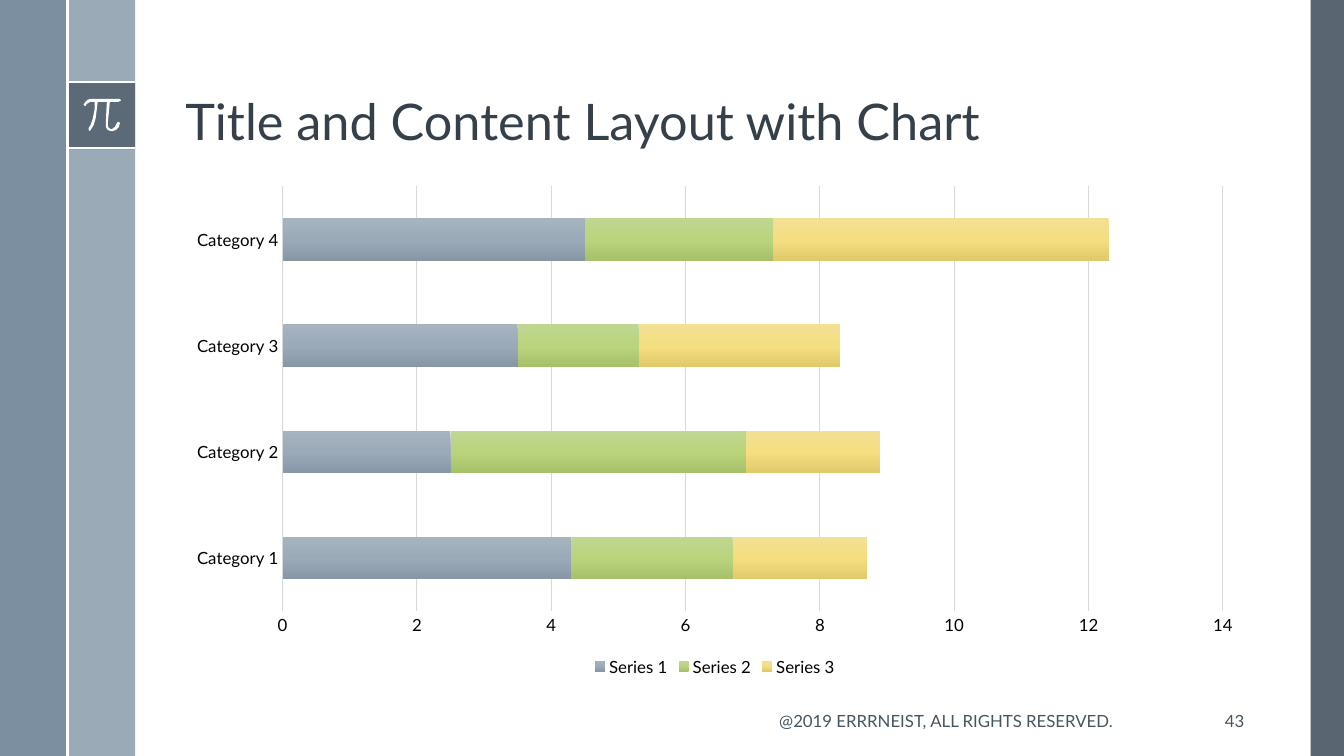
from dataclasses import dataclass

from lxml import etree
from pptx import Presentation
from pptx import util as u
from pptx.chart.data import CategoryChartData
from pptx.dml.color import RGBColor
from pptx.enum import chart as ch, shapes, text
from pptx.oxml import parse_xml
from pptx.oxml.ns import nsdecls, qn


@dataclass
class Theme:
    font: str = "Lato"
    title: str = "35404A"
    body: str = "465562"
    label: str = "000000"
    grid: str = "D9D9D9"
    white: str = "FFFFFF"
    dark: str = "475562"
    steel: str = "6A8093"
    mist: str = "9BAAB7"
    title_size: int = 36
    small_size: int = 12
    # Top, middle and bottom colour of each series
    gradients: tuple = (("A6B4BF", "9AAAB8", "8797A6"),
                        ("C0D691", "BAD47E", "A7C16B"),
                        ("F2E095", "F4DE80", "E0CA6B"))


theme = Theme()
rgb = RGBColor.from_string


def style_font(font, size, color):
    font.name = theme.font
    font.size = u.Pt(size)
    font.color.rgb = rgb(color)


def add_text(box, words, size, color, align, anchor):
    tf = s.shapes.add_textbox(*map(u.Inches, box)).text_frame
    tf.word_wrap = True
    tf.vertical_anchor = anchor
    tf.text = words
    p = tf.paragraphs[0]
    p.alignment = align
    style_font(p.runs[0].font, size, color)
    return p


prs = Presentation()
prs.slide_width, prs.slide_height = u.Inches(13.33), u.Inches(7.5)
s = prs.slides.add_slide(prs.slide_layouts[6])

# Side bands and the symbol tile: left, top, width, height, colour, opacity
bands = [(13, 0, 0.33, 7.5, theme.dark, 90),
         (0.67, 0, 0.67, 7.5, theme.mist, 100),
         (0, 0, 0.67, 7.5, theme.steel, 88),
         (0.67, 0.81, 0.67, 0.67, theme.dark, 75)]
for *box, color, opacity in bands:
    sp = s.shapes.add_shape(shapes.MSO_SHAPE.RECTANGLE, *map(u.Inches, box))
    sp.shadow.inherit = False
    sp.fill.solid()
    sp.fill.fore_color.rgb = rgb(color)
    sp.line.fill.background()
    if opacity < 100:
        clr = sp.fill._xPr.find(".//" + qn("a:srgbClr"))
        etree.SubElement(clr, qn("a:alpha"), val=str(opacity * 1000))

# White rules around the tile and between the bands
for ends in [(0.67, 0.81, 1.34, 0.81), (0.67, 1.47, 1.34, 1.47), (0.67, 0, 0.67, 7.5)]:
    rule = s.shapes.add_connector(shapes.MSO_CONNECTOR.STRAIGHT, *map(u.Inches, ends))
    rule.line.color.rgb = rgb(theme.white)
    rule.line.width = u.Pt(1.5)
    etree.SubElement(rule._element.spPr, qn("a:effectLst"))

# Pi symbol, outlined in hundredths of an inch
pi = [(118, 98), (90, 98), (87, 99), (84, 102), (83, 104), (84, 105), (85, 105),
      (86, 103), (88, 101.5), (90, 101), (94, 101), (93.5, 108), (92, 118), (90, 124),
      (88, 127), (87.5, 128), (88, 129), (89, 129.5), (90, 129), (93, 124), (95, 117),
      (96, 109), (97, 101), (106, 101), (105, 122), (105, 126), (107, 129), (110, 130),
      (112, 130), (115, 129), (118, 126), (119, 122), (118, 121), (117, 121),
      (116, 122), (114, 126), (111, 128), (109.5, 128), (108, 127), (107, 125),
      (107, 122), (109, 101), (118, 101), (119, 100.5), (119.5, 99.5), (119, 98.5)]
builder = s.shapes.build_freeform(*pi[0], scale=u.Inches(0.01))
builder.add_line_segments(pi[1:], close=True)
sp = builder.convert_to_shape()
sp.shadow.inherit = False
sp.fill.solid()
sp.fill.fore_color.rgb = rgb(theme.white)
sp.line.fill.background()

# Title
p = add_text((1.74, 0.19, 10.7, 1.36), "Title and Content Layout with Chart",
             theme.title_size, theme.title, text.PP_ALIGN.LEFT, text.MSO_ANCHOR.BOTTOM)
p.line_spacing = 0.9

# Stacked bar chart
data = CategoryChartData()
data.categories = [f"Category {n}" for n in range(1, 5)]
data.add_series("Series 1", (4.3, 2.5, 3.5, 4.5))
data.add_series("Series 2", (2.4, 4.4, 1.8, 2.8))
data.add_series("Series 3", (2, 2, 3, 5))
chart = s.shapes.add_chart(ch.XL_CHART_TYPE.BAR_STACKED, u.Inches(1.74), u.Inches(1.75),
                           u.Inches(10.7), u.Inches(5), data).chart
style_font(chart.font, 10, theme.body)
chart.has_title = False
chart.has_legend = True
chart.legend.position = ch.XL_LEGEND_POSITION.BOTTOM
chart.legend.include_in_layout = False
style_font(chart.legend.font, theme.small_size, theme.label)

plot = chart.plots[0]
plot.gap_width, plot.overlap = 150, 100
plot.vary_by_categories = False
for series, colors in zip(plot.series, theme.gradients):
    stops = "".join(f'<a:gs pos="{i * 50000}"><a:srgbClr val="{c}"/></a:gs>'
                    for i, c in enumerate(colors))
    series._element.get_or_add_spPr().append(parse_xml(
        f'<a:gradFill {nsdecls("a")}><a:gsLst>{stops}</a:gsLst>'
        '<a:lin ang="5400000" scaled="0"/></a:gradFill>'))

# Axes and gridlines
cat_axis, val_axis = chart.category_axis, chart.value_axis
for axis in (cat_axis, val_axis):
    axis.major_tick_mark = axis.minor_tick_mark = ch.XL_TICK_MARK.NONE
    style_font(axis.tick_labels.font, theme.small_size, theme.label)
val_axis.minimum_scale, val_axis.maximum_scale, val_axis.major_unit = 0, 14, 2
val_axis.has_major_gridlines = True
val_axis.format.line.fill.background()
for line in (cat_axis.format.line, val_axis.major_gridlines.format.line):
    line.color.rgb = rgb(theme.grid)
    line.width = u.Pt(0.75)

# Footer and slide number
add_text((7.21, 6.95, 4.35, 0.4), "@2019 ERRRNEIST, ALL RIGHTS RESERVED.",
         theme.small_size, theme.body, text.PP_ALIGN.CENTER, text.MSO_ANCHOR.MIDDLE)
add_text((11.77, 6.95, 0.67, 0.4), "43",
         theme.small_size, theme.body, text.PP_ALIGN.RIGHT, text.MSO_ANCHOR.MIDDLE)

prs.save("out.pptx")
